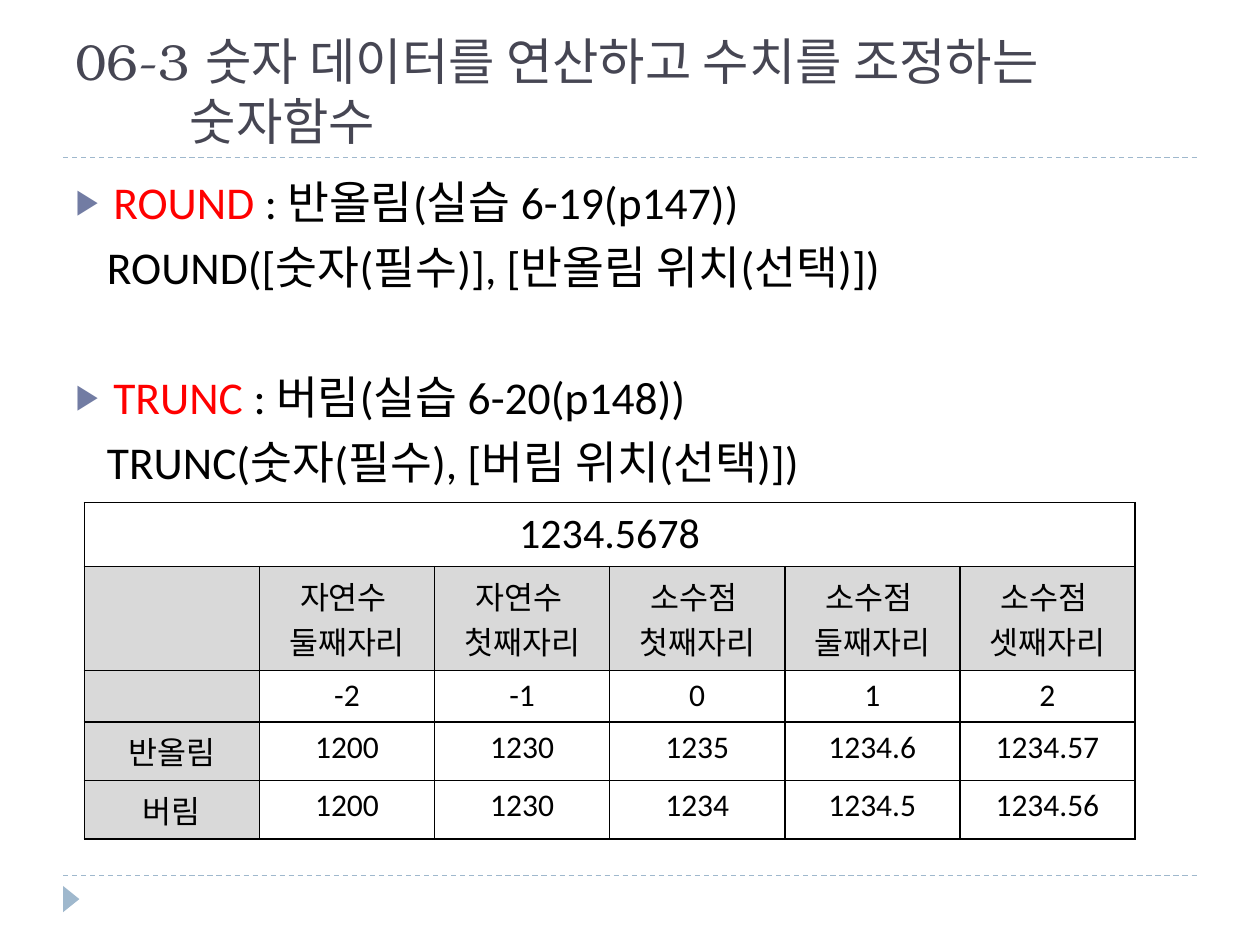
from lxml import etree
from pptx import Presentation
from pptx.dml.color import RGBColor
from pptx.enum.dml import MSO_LINE
from pptx.enum.shapes import MSO_CONNECTOR, MSO_SHAPE
from pptx.enum.text import MSO_ANCHOR, MSO_AUTO_SIZE, PP_ALIGN
from pptx.oxml.ns import qn
from pptx.util import Cm, Pt

DASH = MSO_LINE.DASH
STRAIGHT = MSO_CONNECTOR.STRAIGHT
TRIANGLE = MSO_SHAPE.ISOSCELES_TRIANGLE
TOP, BOTTOM = MSO_ANCHOR.TOP, MSO_ANCHOR.BOTTOM
LEFT, CENTER = PP_ALIGN.LEFT, PP_ALIGN.CENTER
NO_FIT = MSO_AUTO_SIZE.NONE

TITLE = "06-3 숫자 데이터를 연산하고 수치를 조정하는\v숫자함수"
ITEMS = [
    ("ROUND", " : 반올림(실습 6-19(p147))", "ROUND([숫자(필수)], [반올림 위치(선택)])"),
    ("TRUNC", " : 버림(실습 6-20(p148))", "TRUNC(숫자(필수), [버림 위치(선택)])"),
]
ROWS = [
    ["1234.5678", "", "", "", "", ""],
    ["", "자연수 \v둘째자리", "자연수 \v첫째자리", "소수점 \v첫째자리",
     "소수점 \v둘째자리", "소수점 \v셋째자리"],
    ["", "-2", "-1", "0", "1", "2"],
    ["반올림", "1200", "1230", "1235", "1234.6", "1234.57"],
    ["버림", "1200", "1230", "1234", "1234.5", "1234.56"],
]
HIGH = [1.29, 2.1, 1.03, 1.18, 1.18]
WIDE = 3.53
BLUE, INK, GREY = "9FB8CD", "000000", "D9D9D9"


def color(code):
    return RGBColor.from_string(code)


def style(font, size, code, name="Calibri"):
    font.size, font.name = Pt(size), name
    font.color.rgb = color(code)


def place(shape, x, y, w, h):
    shape.left, shape.top, shape.width, shape.height = Cm(x), Cm(y), Cm(w), Cm(h)


def add(parent, tag, **attrs):
    return etree.SubElement(parent, qn(tag), attrs)


def indent(para, left, first, bullet=False):
    props = para._p.get_or_add_pPr()
    props.set("marL", str(Cm(left)))
    props.set("indent", str(Cm(first)))
    if bullet:
        add(add(props, "a:buClr"), "a:srgbClr", val="727CA3")
        add(props, "a:buSzPct", val="76000")
        add(props, "a:buChar", char="▶")
    else:
        add(props, "a:buNone")


def border(cell):
    props = cell._tc.get_or_add_tcPr()
    for pos, side in enumerate(("a:lnL", "a:lnR", "a:lnT", "a:lnB")):
        line = etree.Element(qn(side), w=str(Pt(1)))
        add(add(line, "a:solidFill"), "a:srgbClr", val=INK)
        props.insert(pos, line)


def rule(slide, y):
    line = slide.shapes.add_connector(STRAIGHT, Cm(1.27), Cm(y), Cm(24.13), Cm(y))
    line.line.color.rgb = color(BLUE)
    line.line.width = Pt(0.75)
    line.line.dash_style = DASH
    add(line._element.spPr, "a:effectLst")


def head(slide):
    title = slide.shapes.title
    place(title, 1.27, 0.43, 22.86, 2.74)
    frame = title.text_frame
    frame.text = TITLE
    frame.auto_size, frame.vertical_anchor = NO_FIT, BOTTOM
    para = frame.paragraphs[0]
    para.alignment = LEFT
    style(para.font, 28.8, "464653", "TeX Gyre Bonum")
    indent(para, 2.3, -2.3)


def body(slide):
    box = slide.placeholders[1]
    place(box, 1.27, 3.38, 22.86, 13.72)
    frame = box.text_frame
    frame.auto_size, frame.vertical_anchor = NO_FIT, TOP
    for pos, (name, note, form) in enumerate(ITEMS):
        para = frame.add_paragraph() if pos else frame.paragraphs[0]
        para.space_before = Pt(43 if pos else 6)
        indent(para, 0.76, -0.76, True)
        for text, code in ((name, "FF0000"), (note, INK)):
            run = para.add_run()
            run.text = text
            style(run.font, 26, code)
        para = frame.add_paragraph()
        para.text = form
        para.space_before = Pt(6)
        style(para.font, 26, INK)
        indent(para, 0.63, 0)


def grid(slide):
    count = len(ROWS[0])
    table = slide.shapes.add_table(len(ROWS), count, Cm(1.7), Cm(10.13),
                                   Cm(WIDE * count), Cm(sum(HIGH))).table
    table.first_row = table.horz_banding = False
    for col in table.columns:
        col.width = Cm(WIDE)
    for r, row in enumerate(ROWS):
        table.rows[r].height = Cm(HIGH[r])
        for c, text in enumerate(row):
            cell = table.cell(r, c)
            cell.text = text
            para = cell.text_frame.paragraphs[0]
            para.alignment = CENTER
            style(para.font, 18 if r else 24, INK)
            if r == 1 or (r and c == 0):
                cell.fill.solid()
                cell.fill.fore_color.rgb = color(GREY)
            else:
                cell.fill.background()
            border(cell)
    table.cell(0, 0).merge(table.cell(0, count - 1))


def main():
    deck = Presentation()
    deck.slide_width, deck.slide_height = Cm(25.4), Cm(19.05)
    slide = deck.slides.add_slide(deck.slide_layouts[1])
    for y in (17.65, 3.18):
        rule(slide, y)
    mark = slide.shapes.add_shape(TRIANGLE, Cm(1.17), Cm(17.96), Cm(0.53), Cm(0.33))
    mark.rotation = 90
    mark.shadow.inherit = False
    mark.fill.solid()
    mark.fill.fore_color.rgb = color(BLUE)
    mark.line.fill.background()
    head(slide)
    body(slide)
    grid(slide)
    deck.save("out.pptx")


if __name__ == "__main__":
    main()
